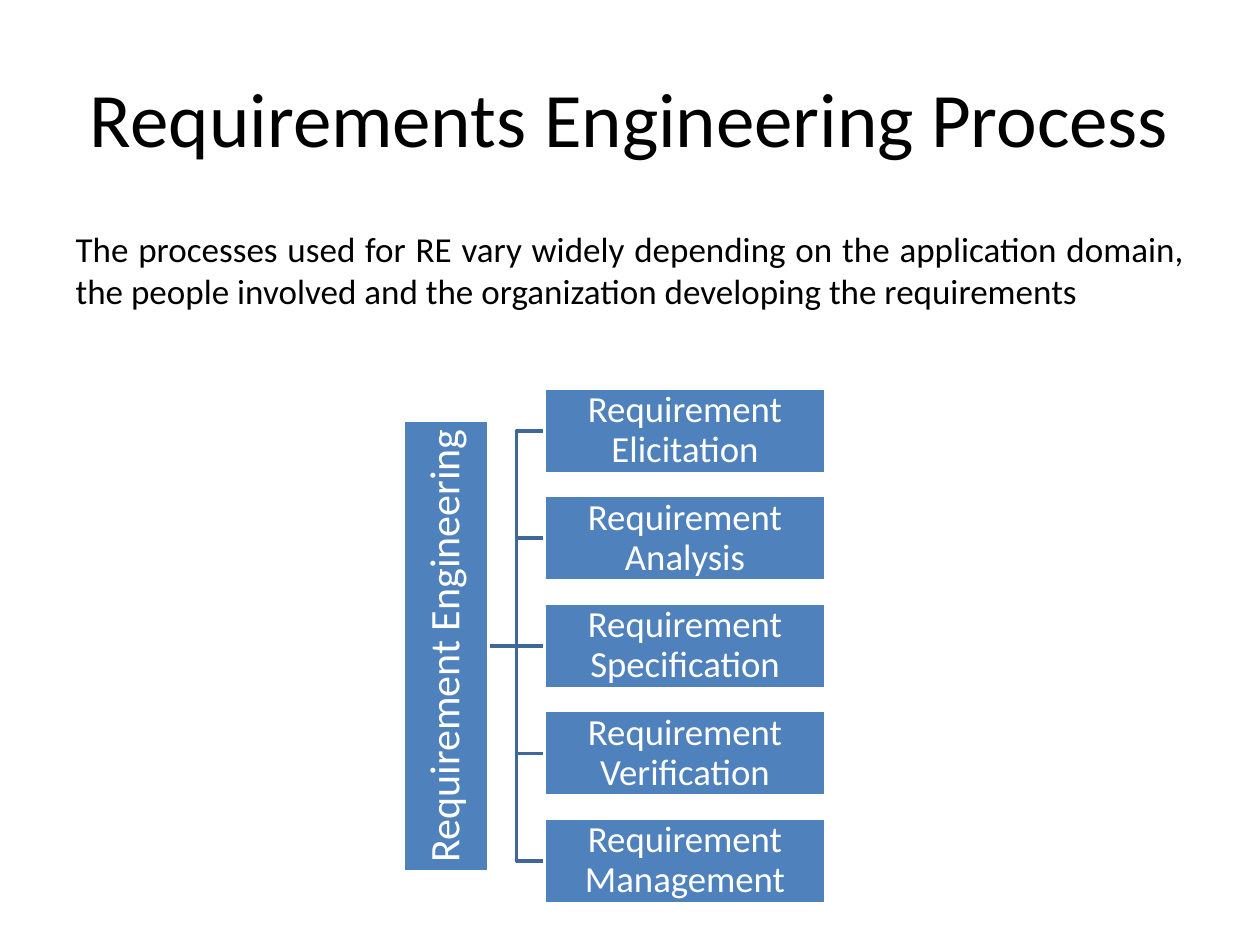
from lxml import etree
from pptx import Presentation
from pptx.dml.color import RGBColor
from pptx.enum.shapes import MSO_CONNECTOR, MSO_SHAPE
from pptx.enum.text import MSO_ANCHOR, PP_ALIGN
from pptx.oxml.ns import qn
from pptx.util import Cm, Pt

RECTANGLE = MSO_SHAPE.RECTANGLE
STRAIGHT, ELBOW = MSO_CONNECTOR.STRAIGHT, MSO_CONNECTOR.ELBOW
MIDDLE = MSO_ANCHOR.MIDDLE
CENTER, JUSTIFY = PP_ALIGN.CENTER, PP_ALIGN.JUSTIFY

COLORS = {"text": "000000", "box": "4F81BD", "branch": "3F6797", "white": "FFFFFF"}
STAGES = ["Elicitation", "Analysis", "Specification", "Verification", "Management"]


def color(name):
    """Return the named palette colour."""
    return RGBColor.from_string(COLORS[name])


def style(para, size, color_name, align):
    """Set font and alignment of a paragraph."""
    para.alignment = align
    para.font.name = "Calibri"
    para.font.size = Pt(size)
    para.font.color.rgb = color(color_name)


def place(shape, left, top, width, height):
    """Move a shape to a box given in centimetres."""
    shape.left, shape.top = Cm(left), Cm(top)
    shape.width, shape.height = Cm(width), Cm(height)


def add_title(page, left, top, width, height):
    """Fill the title placeholder."""
    title = page.shapes.title
    place(title, left, top, width, height)
    title.text_frame.text = "Requirements Engineering Process"
    title.text_frame.vertical_anchor = MIDDLE
    style(title.text_frame.paragraphs[0], 44, "text", CENTER)


def add_body(page, left, top, width, height):
    """Fill the body placeholder with one unbulleted paragraph."""
    body = page.placeholders[1]
    place(body, left, top, width, height)
    body.text_frame.text = (
        "The processes used for RE vary widely depending on the application domain, "
        "the people involved and the organization developing the requirements"
    )
    para = body.text_frame.paragraphs[0]
    properties = para._p.get_or_add_pPr()
    properties.set("marL", "0")
    properties.set("indent", "0")
    etree.SubElement(properties, qn("a:buNone"))
    para.space_before = Pt(0)
    style(para, 20, "text", JUSTIFY)


def add_box(page, left, top, width, height, text, size, margin):
    """Add a filled, white-edged box with centred text."""
    box = page.shapes.add_shape(RECTANGLE, Cm(left), Cm(top), Cm(width), Cm(height))
    box.shadow.inherit = False
    box.fill.solid()
    box.fill.fore_color.rgb = color("box")
    box.line.color.rgb = color("white")
    box.line.width = Pt(2)
    frame = box.text_frame
    frame.word_wrap = True
    frame.vertical_anchor = MIDDLE
    frame.margin_left = frame.margin_right = Cm(margin)
    frame.margin_top = frame.margin_bottom = Cm(margin)
    frame.text = text
    para = frame.paragraphs[0]
    para.line_spacing = 0.9
    style(para, size, "white", CENTER)
    return box


def add_branch(page, start_x, start_y, end_x, end_y):
    """Connect the root to one stage."""
    kind = STRAIGHT if start_y == end_y else ELBOW
    branch = page.shapes.add_connector(
        kind, Cm(start_x), Cm(start_y), Cm(end_x), Cm(end_y)
    )
    branch.line.color.rgb = color("branch")
    branch.line.width = Pt(2)
    etree.SubElement(branch._element.spPr, qn("a:effectLst"))


def add_tree(page, left, top, width, height):
    """Draw the rotated root and its evenly spaced stages."""
    thickness, gap, root_length = 1.73, 1.13, 9.09
    pitch = (height - thickness) / (len(STAGES) - 1)
    middle = top + height / 2
    root_right = left + thickness
    stage_left = root_right + gap
    offsets = [index - (len(STAGES) - 1) / 2 for index in range(len(STAGES))]
    centers = [middle + offset * pitch for offset in offsets]

    for center in centers:
        add_branch(page, root_right, middle, stage_left, center)
    root = add_box(
        page, left + (thickness - root_length) / 2, middle - thickness / 2,
        root_length, thickness, "Requirement Engineering", 24, 0.04,
    )
    root.rotation = 270
    for stage, center in zip(STAGES, centers):
        add_box(
            page, stage_left, center - thickness / 2, left + width - stage_left,
            thickness, f"Requirement {stage}", 21, 0.03,
        )


def main():
    """Build and save the deck."""
    deck = Presentation()
    deck.slide_width, deck.slide_height = Cm(25.4), Cm(19.05)
    page = deck.slides.add_slide(deck.slide_layouts[1])
    add_title(page, 1.27, 0.76, 22.86, 3.18)
    add_body(page, 1.27, 4.45, 22.86, 12.57)
    add_tree(page, 8.12, 7.82, 8.52, 10.4)
    deck.save("out.pptx")


if __name__ == "__main__":
    main()
